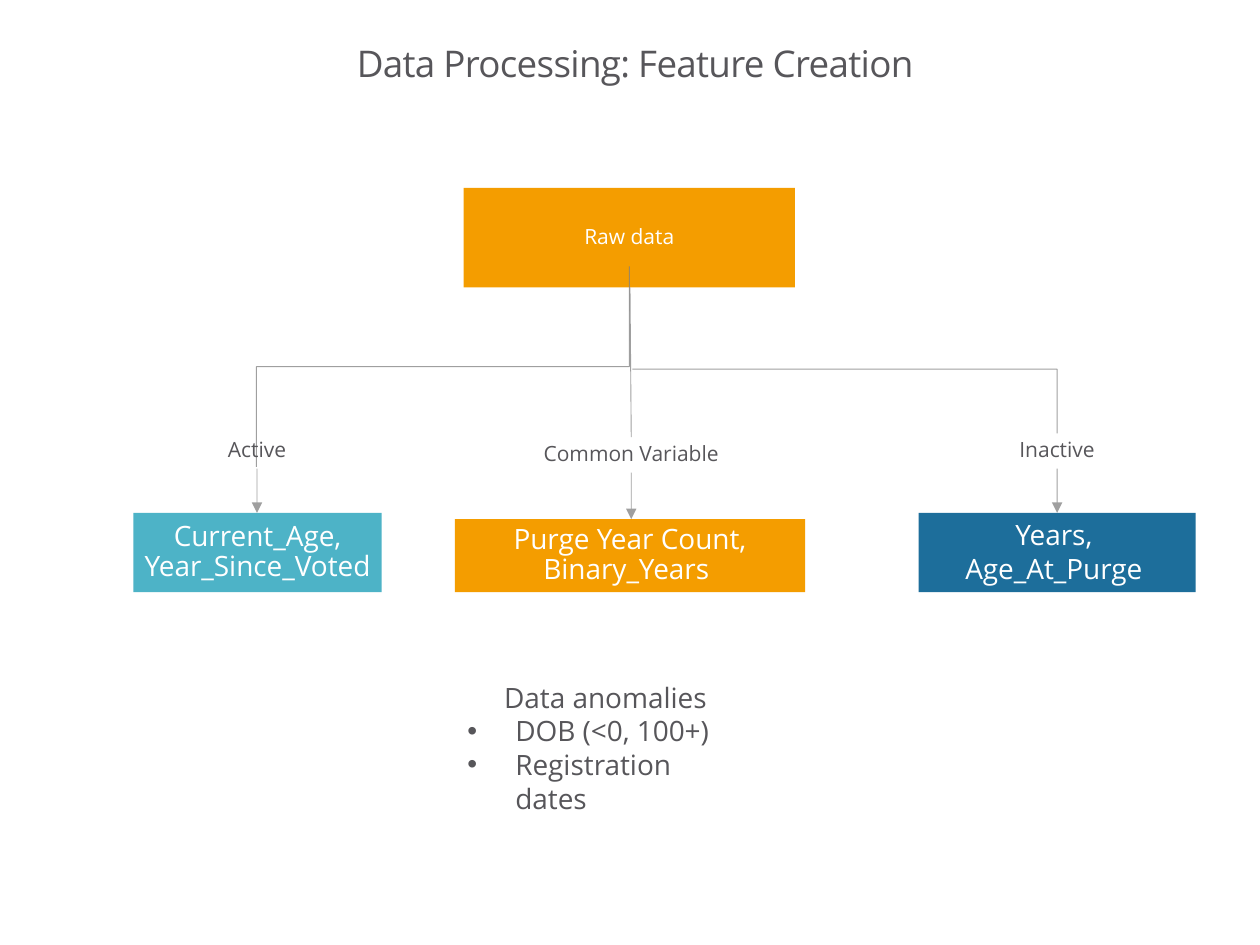
from lxml import etree
from pptx import Presentation
from pptx import util as u
from pptx.dml import color
from pptx.enum import shapes, text
from pptx.oxml import ns

COLORS = {
    "ink": "57565A",
    "white": "FFFFFF",
    "orange": "F49D00",
    "teal": "4DB3C7",
    "blue": "1D6E9B",
    "line": "808080",
}


def rgb(name):
    return color.RGBColor.from_string(COLORS[name])


def write(para, words, size=16, ink="ink", font="Open Sans", align="CENTER",
          leading=1.0, tracking=None, bullet=None, indent=0):
    props = para._p.get_or_add_pPr()
    props.set("marL", str(u.Inches(indent)))
    props.set("indent", str(-u.Inches(indent)))
    para.alignment = getattr(text.PP_ALIGN, align)
    para.line_spacing = leading
    para.space_before = para.space_after = u.Pt(0)
    if bullet:
        etree.SubElement(props, ns.qn("a:buFont")).set("typeface", "Arial")
        etree.SubElement(props, ns.qn("a:buChar")).set("char", bullet)
    else:
        etree.SubElement(props, ns.qn("a:buNone"))
    span = para.add_run()
    span.text = words
    span.font.name = font
    span.font.size = u.Pt(size)
    span.font.color.rgb = rgb(ink)
    if tracking is not None:
        span.font._element.set("spc", str(round(tracking * 100)))


class Flowchart:
    def __init__(self, slide):
        self.slide = slide
        self.line_width = u.Pt(0.5)
        self.line_opacity = 75

    def frame(self, shape, margin=0.0, anchor="MIDDLE"):
        frame = shape.text_frame
        frame.word_wrap = True
        frame.auto_size = text.MSO_AUTO_SIZE.NONE
        frame.vertical_anchor = getattr(text.MSO_ANCHOR, anchor)
        frame.margin_left = frame.margin_right = u.Inches(margin)
        frame.margin_top = frame.margin_bottom = u.Inches(min(margin, 0.05))
        return frame

    def place(self, shape, left, top, width, height):
        shape.left, shape.top = u.Inches(left), u.Inches(top)
        shape.width, shape.height = u.Inches(width), u.Inches(height)

    def title(self, words, area):
        shape = self.slide.shapes.title
        self.place(shape, *area)
        write(self.frame(shape).paragraphs[0], words, size=21, leading=0.86, tracking=-0.4)

    def bullets(self, heading, items, area):
        shape = self.slide.placeholders[1]
        self.place(shape, *area)
        frame = self.frame(shape, margin=0.1, anchor="TOP")
        write(frame.paragraphs[0], heading)
        for item in items:
            write(frame.add_paragraph(), item, align="LEFT", bullet="•", indent=0.38)

    def box(self, area, fill, words=None, size=16):
        shape = self.slide.shapes.add_shape(
            shapes.MSO_SHAPE.RECTANGLE, *map(u.Inches, area))
        shape.shadow.inherit = False
        shape.fill.solid()
        shape.fill.fore_color.rgb = rgb(fill)
        shape.line.fill.background()
        if words:
            write(self.frame(shape, margin=0.01).paragraphs[0], words,
                  size=size, ink="white", leading=0.9)

    def label(self, words, area, margin=0.05, anchor="MIDDLE", **style):
        shape = self.slide.shapes.add_textbox(*map(u.Inches, area))
        write(self.frame(shape, margin, anchor).paragraphs[0], words, **style)

    def connector(self, start, end, preset="line", turn=0, arrow=False):
        kind = shapes.MSO_CONNECTOR.STRAIGHT if preset == "line" else shapes.MSO_CONNECTOR.ELBOW
        line = self.slide.shapes.add_connector(kind, *map(u.Inches, (*start, *end)))
        line.line.width = self.line_width
        line.line.color.rgb = rgb("line")
        props = line._element.spPr
        props.find(ns.qn("a:prstGeom")).set("prst", preset)
        if turn:
            props.find(ns.qn("a:xfrm")).set("rot", str(turn * 60000))
        shade = next(props.iter(ns.qn("a:srgbClr")))
        etree.SubElement(shade, ns.qn("a:alpha")).set("val", str(self.line_opacity * 1000))
        if arrow:
            stroke = props.find(ns.qn("a:ln"))
            etree.SubElement(stroke, ns.qn("a:tailEnd")).set("type", "triangle")
        etree.SubElement(props, ns.qn("a:effectLst"))


def main():
    deck = Presentation()
    deck.slide_width, deck.slide_height = u.Inches(10), u.Inches(7.5)
    chart = Flowchart(deck.slides.add_slide(deck.slide_layouts[1]))

    chart.title("Data Processing: Feature Creation", (0.79, 0.19, 8.5, 0.67))
    chart.box((3.68, 1.49, 2.63, 0.79), "orange", "Raw data", size=12)
    chart.box((1.06, 4.07, 1.97, 0.63), "teal", "Current_Age, Year_Since_Voted")
    chart.box((3.61, 4.12, 2.78, 0.58), "orange", "Purge Year Count, Binary_Years ")
    chart.box((7.29, 4.07, 2.2, 0.63), "blue")

    chart.connector((5.02, 2.93), (8.39, 3.44), "bentConnector2")
    chart.connector((2.72, 1.43), (4.31, 4.39), "bentConnector3", turn=90)
    chart.connector((5, 2.28), (5.01, 3.47))

    branches = [
        ("Active", 2.04, 3.44, 4.07),
        ("Common Variable", 5.01, 3.47, 4.12),
        ("Inactive", 8.39, 3.44, 4.07),
    ]
    width, height = 1.51, 0.28
    for name, center, top, target in branches:
        chart.label(name, (center - width / 2, top, width, height), size=12, leading=0.9)
        chart.connector((center, top + height), (center, target), arrow=True)

    chart.label("Years, Age_At_Purge", (7.23, 4.06, 2.27, 0.37),
                margin=0.1, anchor="TOP", ink="white")
    chart.bullets("Data anomalies", ["DOB (<0, 100+)", "Registration dates"],
                  (3.61, 5.35, 2.39, 1.18))
    deck.save("out.pptx")


if __name__ == "__main__":
    main()
